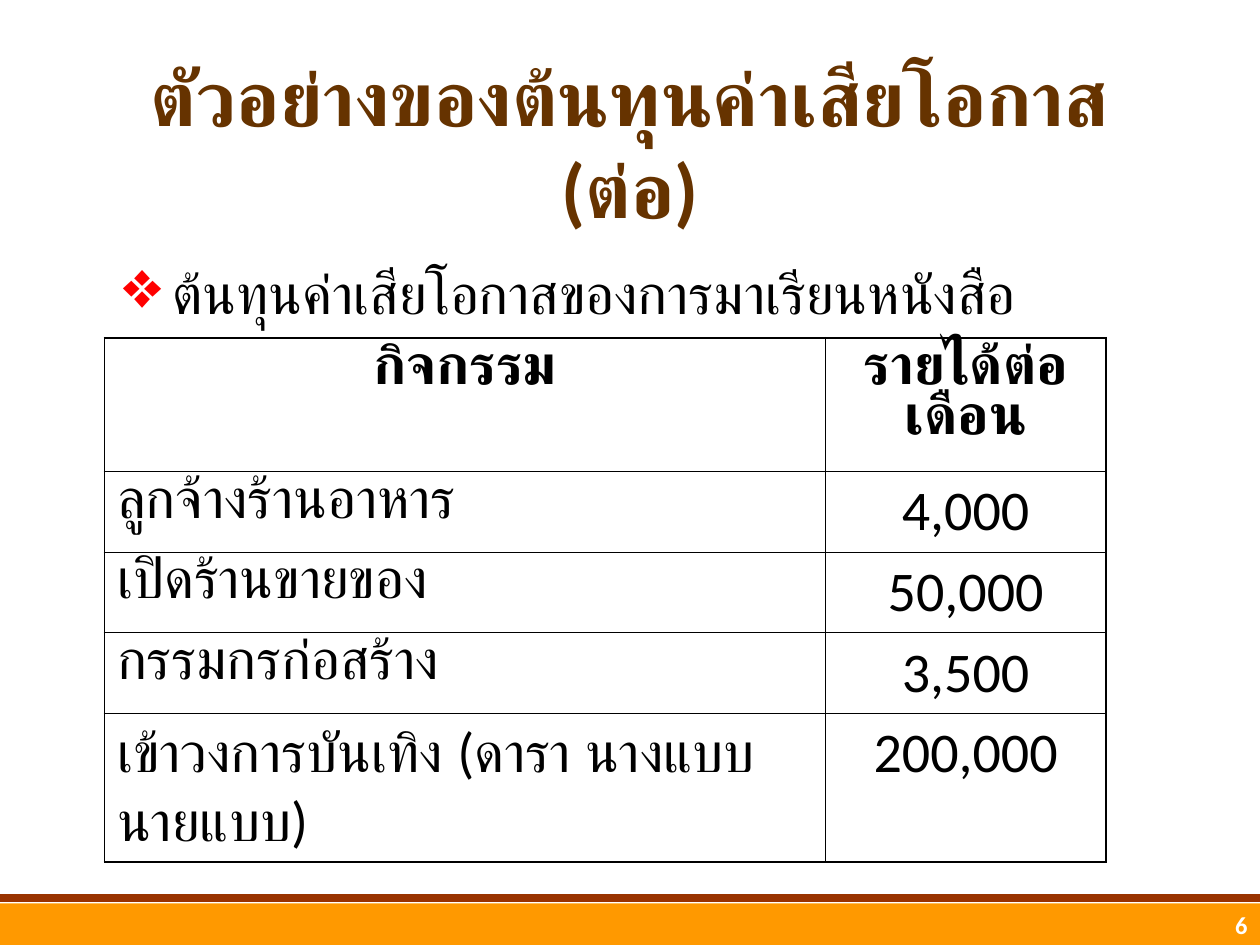
from lxml import etree
from pptx import Presentation
from pptx.dml.color import RGBColor
from pptx.enum import shapes, text
from pptx.oxml.ns import qn
from pptx.util import Inches, Pt

COLORS = {"orange": "FF9900", "rust": "993300", "brown": "663300",
          "red": "FF0000", "black": "000000", "white": "FFFFFF"}
FONT = "Calibri"
THICK, THIN = Pt(1.08), Pt(0.45)
ROWS = [
    ("กิจกรรม", "รายได้ต่อเดือน"),
    ("ลูกจ้างร้านอาหาร", "4,000"),
    ("เปิดร้านขายของ", "50,000"),
    ("กรรมกรก่อสร้าง", "3,500"),
    ("เข้าวงการบันเทิง (ดารา นางแบบ นายแบบ)", "200,000"),
]
ROW_HEIGHTS = [0.99, 0.64, 0.64, 0.64, 1.18]


def rgb(name):
    return RGBColor.from_string(COLORS[name])


def write(tf, content, size, color="black", bold=False,
          align=text.PP_ALIGN.LEFT):
    tf.word_wrap = True
    p = tf.paragraphs[0]
    p.add_run().text = content
    p.alignment = align
    p.font.name, p.font.size, p.font.bold = FONT, Pt(size), bold
    p.font.color.rgb = rgb(color)
    return p


def add_footer(slide, left, top, width, height):
    # Orange band with a dark rule above it
    band = slide.shapes.add_shape(shapes.MSO_SHAPE.RECTANGLE,
                                  left, top, width, height)
    band.shadow.inherit = False
    band.fill.solid()
    band.fill.fore_color.rgb = rgb("orange")
    band.line.fill.background()
    rule_y = top - Inches(0.04)
    rule = slide.shapes.add_connector(shapes.MSO_CONNECTOR.STRAIGHT,
                                      left, rule_y, left + width, rule_y)
    rule.line.color.rgb = rgb("rust")
    rule.line.width = Pt(4.5)
    etree.SubElement(rule._element.spPr, qn("a:effectLst"))
    # Slide number
    number_w = Inches(2.08)
    box = slide.shapes.add_textbox(left + width - number_w, top,
                                   number_w, Inches(0.5))
    write(box.text_frame, "6", 14, "white", True, text.PP_ALIGN.RIGHT)


def add_title(slide, left, top, width, height):
    tf = slide.shapes.add_textbox(left, top, width, height).text_frame
    tf.vertical_anchor = text.MSO_ANCHOR.MIDDLE
    write(tf, "ตัวอย่างของต้นทุนค่าเสียโอกาส (ต่อ)", 44, "brown", True,
          text.PP_ALIGN.CENTER)


def add_bullet(slide, left, top, width, height):
    box = slide.shapes.add_textbox(left, top, width, height)
    p = write(box.text_frame, "ต้นทุนค่าเสียโอกาสของการมาเรียนหนังสือ", 32)
    p.space_before = Pt(8)
    pPr = p._p.get_or_add_pPr()
    pPr.set("marL", str(Inches(0.52)))
    pPr.set("indent", str(-Inches(0.39)))
    # Bullet colour, size and character go before the default font
    default_font = pPr.find(qn("a:defRPr"))
    color = etree.Element(qn("a:buClr"))
    etree.SubElement(color, qn("a:srgbClr"), val=COLORS["red"])
    for el in (color, etree.Element(qn("a:buSzPct"), val="120000"),
               etree.Element(qn("a:buChar"), char="❖")):
        default_font.addprevious(el)


def set_borders(cell, widths):
    tcPr = cell._tc.get_or_add_tcPr()
    for i, (side, width) in enumerate(zip("LRTB", widths)):
        ln = etree.Element(qn(f"a:ln{side}"), w=str(width))
        fill = etree.SubElement(ln, qn("a:solidFill"))
        etree.SubElement(fill, qn("a:srgbClr"), val=COLORS["black"])
        tcPr.insert(i, ln)


def add_income_table(slide, left, top, width):
    last_row, last_col = len(ROWS) - 1, len(ROWS[0]) - 1
    table = slide.shapes.add_table(len(ROWS), len(ROWS[0]), left, top, width,
                                   Inches(sum(ROW_HEIGHTS))).table
    table.first_row = table.horz_banding = False
    table.columns[0].width = Inches(5.72)
    table.columns[1].width = width - Inches(5.72)
    for r, values in enumerate(ROWS):
        table.rows[r].height = Inches(ROW_HEIGHTS[r])
        for c, value in enumerate(values):
            cell = table.cell(r, c)
            cell.fill.background()
            centred = r == 0 or c == last_col
            p = write(cell.text_frame, value, 32, bold=r == 0,
                      align=text.PP_ALIGN.CENTER if centred
                      else text.PP_ALIGN.LEFT)
            p.space_before = Pt(8)
            # Header and short labels are set slightly tight
            if r == 0 or (c == 0 and r < last_row):
                p.line_spacing = 0.9
            outer = (c == 0, c == last_col, r == 0, r == last_row)
            set_borders(cell, [THICK if edge else THIN for edge in outer])


def main():
    prs = Presentation()
    prs.slide_width, prs.slide_height = Inches(10), Inches(7.5)
    s = prs.slides.add_slide(prs.slide_layouts[6])
    add_footer(s, 0, Inches(7.17), prs.slide_width, Inches(0.33))
    add_title(s, Inches(0.75), Inches(0.5), Inches(8.5), Inches(1.25))
    add_bullet(s, Inches(0.75), Inches(2), Inches(8.5), Inches(0.68))
    add_income_table(s, Inches(0.83), Inches(2.68), Inches(7.95))
    prs.save("out.pptx")


if __name__ == "__main__":
    main()
